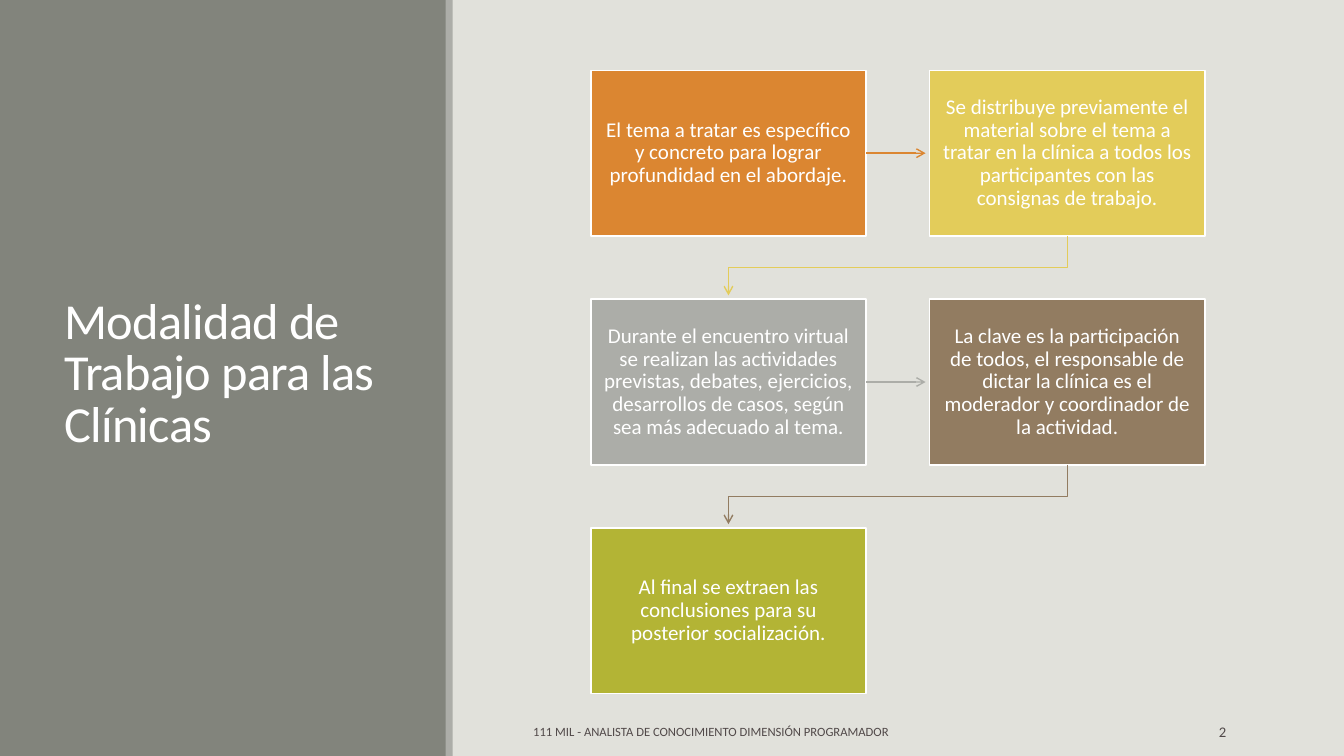
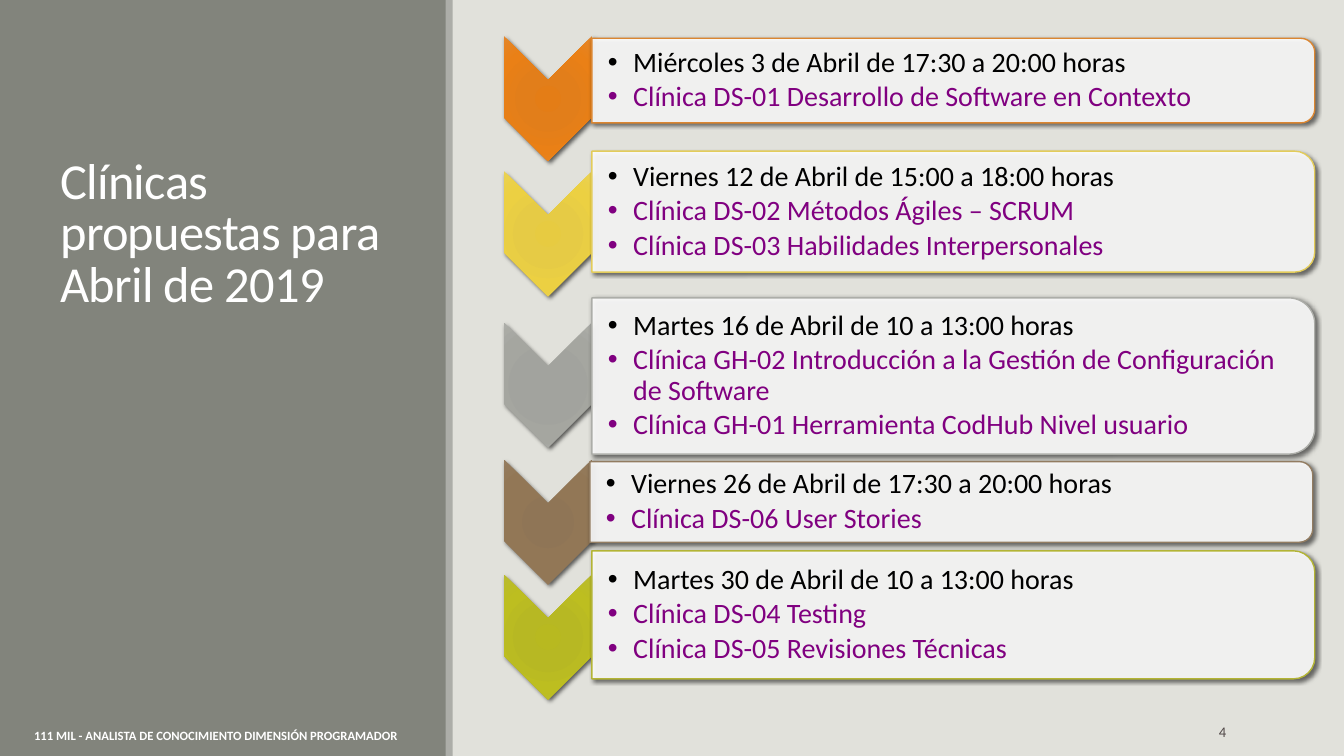
from lxml.etree import SubElement
from pptx import Presentation
from pptx.dml.color import RGBColor
from pptx.enum.shapes import MSO_CONNECTOR, MSO_SHAPE
from pptx.enum.text import MSO_ANCHOR, PP_ALIGN
from pptx.oxml import parse_xml
from pptx.oxml.ns import nsdecls, qn
from pptx.util import Inches, Pt

FONT = "Calibri"
PAPER, SIDE, EDGE = "E1E1DB", "82847C", "ACADA8"
WHITE, BLACK, INK, PURPLE = "FFFFFF", "000000", "514949", "800080"
HUES = ["DB8631", "E3CC5A", "ACADA8", "927C61", "B3B435"]
GLOWS = [
    ["E47D16", "E27E1A", "EA8016", "E48629"],
    ["E7CB41", "E6CB45", "ECD042", "EAD153"],
    ["A1A29C", "A2A39E", "A5A6A0", "ACADA8"],
    ["8F7454", "8F7556", "927756", "947C5F"],
    ["B8B920", "B7B823", "BDBE20", "B9BA2F"],
]
STOPS = [0, 34, 70, 100]
FOOTER = "111 MIL - ANALISTA DE CONOCIMIENTO DIMENSIÓN PROGRAMADOR"

STEPS = [
    "El tema a tratar es específico y concreto para lograr profundidad en el abordaje.",
    "Se distribuye previamente el material sobre el tema a tratar en la clínica "
    "a todos los participantes con las consignas de trabajo.",
    "Durante el encuentro virtual se realizan las actividades previstas, debates, "
    "ejercicios, desarrollos de casos, según sea más adecuado al tema.",
    "La clave es la participación de todos, el responsable de dictar la clínica "
    "es el moderador y coordinador de la actividad.",
    "Al final se extraen las conclusiones para su posterior socialización.",
]
CLINICS = [
    (0.98, 5.87, 0.8, 0.84, ["Miércoles 3 de Abril de 17:30 a 20:00 horas",
                             "Clínica DS-01 Desarrollo de Software en Contexto"]),
    (2.32, 5.87, 2.1, 1.2, ["Viernes 12 de Abril de 15:00 a 18:00 horas",
                            "Clínica DS-02 Métodos Ágiles – SCRUM",
                            "Clínica DS-03 Habilidades Interpersonales"]),
    (3.82, 5.87, 3.73, 1.55, ["Martes 16 de Abril de 10 a 13:00 horas",
                              "Clínica GH-02 Introducción a la Gestión de Configuración de Software",
                              "Clínica GH-01 Herramienta CodHub Nivel usuario"]),
    (5.18, 5.85, 4.98, 0.8, ["Viernes 26 de Abril de 17:30 a 20:00 horas",
                             "Clínica DS-06 User Stories"]),
    (6.32, 5.87, 6.1, 1.27, ["Martes 30 de Abril de 10 a 13:00 horas",
                             "Clínica DS-04 Testing",
                             "Clínica DS-05 Revisiones Técnicas"]),
]


def tint(code):
    return RGBColor.from_string(code)


class Deck:
    """Holds the shared style and the current slide."""

    def __init__(self):
        self.file = Presentation()
        self.file.slide_width, self.file.slide_height = Inches(13.33), Inches(7.5)

    def start(self):
        self.slide = self.file.slides.add_slide(self.file.slide_layouts[6])
        self.shapes = self.slide.shapes
        back = self.slide.background.fill
        back.solid()
        back.fore_color.rgb = tint(PAPER)
        self.shape(MSO_SHAPE.RECTANGLE, 0, 0, 4.43, 7.5, SIDE)
        self.shape(MSO_SHAPE.RECTANGLE, 4.42, 0, 0.07, 7.5, EDGE)

    def shape(self, kind, left, top, width, height, fill, line=None, weight=1):
        item = self.shapes.add_shape(kind, Inches(left), Inches(top), Inches(width), Inches(height))
        item.shadow.inherit = False
        item.fill.solid()
        item.fill.fore_color.rgb = tint(fill)
        if line:
            self.stroke(item, line, weight)
        else:
            item.line.fill.background()
        return item

    def stroke(self, item, color, weight=1):
        item.line.color.rgb = tint(color)
        item.line.width = Pt(weight)

    def style(self, part, size, color, bold=False, align=PP_ALIGN.LEFT, space=None):
        part.alignment = align
        part.line_spacing = space
        for run in part.runs:
            run.font.name, run.font.size, run.font.bold = FONT, Pt(size), bold
            run.font.color.rgb = tint(color)

    def text(self, text, left, top, width, height, size, color, anchor=MSO_ANCHOR.MIDDLE, **looks):
        frame = self.shapes.add_textbox(
            Inches(left), Inches(top), Inches(width), Inches(height)).text_frame
        frame.word_wrap = True
        frame.vertical_anchor = anchor
        frame.text = text
        for part in frame.paragraphs:
            self.style(part, size, color, **looks)
        return frame

    def title(self, text, left, top, width, height, anchor=MSO_ANCHOR.MIDDLE):
        frame = self.text(text, left, top, width, height, 36, WHITE, anchor, space=0.85)
        frame.paragraphs[0].runs[0].font._element.set("spc", "-50")

    def number(self, text):
        self.text(text, 10.83, 7.06, 1.43, 0.4, 10.5, INK, align=PP_ALIGN.RIGHT)

    def box(self, text, left, top, width, height, fill):
        item = self.shape(MSO_SHAPE.RECTANGLE, left, top, width, height, fill, WHITE, 1.25)
        frame = item.text_frame
        frame.word_wrap = True
        frame.vertical_anchor = MSO_ANCHOR.MIDDLE
        frame.margin_left = frame.margin_right = Inches(0.13)
        frame.margin_top = frame.margin_bottom = Inches(0.14)
        frame.text = text
        self.style(frame.paragraphs[0], 15, WHITE, align=PP_ALIGN.CENTER, space=0.9)
        return item

    def tip(self, item, color):
        self.stroke(item, color)
        SubElement(item._element.spPr.get_or_add_ln(), qn("a:tailEnd"), type="arrow")

    def arrow(self, first, last, color):
        y = first.top + first.height // 2
        item = self.shapes.add_connector(
            MSO_CONNECTOR.STRAIGHT, first.left + first.width, y, last.left - Inches(0.04), y)
        item.begin_connect(first, 3)
        self.tip(item, color)
        SubElement(item._element.spPr, qn("a:effectLst"))

    def elbow(self, first, last, color):
        x, y = first.left + first.width // 2, first.top + first.height
        end = last.left + last.width // 2
        turn = (y + last.top) // 2
        pen = self.shapes.build_freeform(x, y)
        pen.add_line_segments(
            [(x, turn), (end, turn), (end, last.top - Inches(0.04))], close=False)
        item = pen.convert_to_shape()
        item.shadow.inherit = False
        item.fill.background()
        self.tip(item, color)

    def turned(self, kind, left, middle, width, height, fill, line=None):
        item = self.shape(kind, left + (width - height) / 2, middle - width / 2,
                          height, width, fill, line)
        item.rotation = 90
        effect = item._element.spPr.find(qn("a:effectLst"))
        effect.append(parse_xml(
            f'<a:outerShdw {nsdecls("a")} blurRad="38100" dist="25400" dir="2700000" '
            'rotWithShape="0"><a:srgbClr val="000000"><a:alpha val="60000"/>'
            '</a:srgbClr></a:outerShdw>'))
        return item

    def chevron(self, middle, glow):
        item = self.turned(MSO_SHAPE.CHEVRON, 5, middle, 0.87, 1.24, glow[0])
        stops = "".join(f'<a:gs pos="{stop * 1000}"><a:srgbClr val="{color}"/></a:gs>'
                        for stop, color in zip(STOPS, glow))
        props = item._element.spPr
        props.replace(props.find(qn("a:solidFill")), parse_xml(
            f'<a:gradFill {nsdecls("a")} rotWithShape="1"><a:gsLst>{stops}</a:gsLst>'
            '<a:path path="circle"><a:fillToRect l="100000" t="100000" r="100000" '
            'b="100000"/></a:path></a:gradFill>'))

    def panel(self, lines, left, middle, height, color):
        item = self.turned(MSO_SHAPE.ROUND_2_SAME_RECTANGLE, left, middle, 7.17, height, WHITE, color)
        paint = item._element.spPr.find(qn("a:solidFill"))
        SubElement(paint[0], qn("a:alpha"), val="90000")
        frame = self.text("\n".join(lines), left, middle - height / 2, 7.1, height,
                          20, PURPLE, space=0.9)
        frame.margin_left = Inches(0.16)
        frame.margin_right = frame.margin_top = frame.margin_bottom = Inches(0.01)
        self.style(frame.paragraphs[0], 20, BLACK, space=0.9)
        for part in frame.paragraphs:
            part.space_after = Pt(3)
            props = part._p.get_or_add_pPr()
            props.set("marL", str(Inches(0.25)))
            props.set("indent", str(-Inches(0.25)))
            SubElement(props, qn("a:buFont"), typeface="Arial")
            SubElement(props, qn("a:buChar"), char="•")


def method(deck):
    deck.start()
    deck.title("Modalidad de Trabajo para las Clínicas", 0.54, 0.57, 3.37, 6.31)
    boxes = [deck.box(text, 5.86 + 3.36 * (i % 2), 0.7 + 2.27 * (i // 2), 2.73, 1.64, hue)
             for i, (text, hue) in enumerate(zip(STEPS, HUES))]
    for i, (first, last) in enumerate(zip(boxes, boxes[1:])):
        join = deck.elbow if i % 2 else deck.arrow
        join(first, last, HUES[i])
    deck.text(FOOTER, 5.19, 7.06, 5.58, 0.4, 9, INK)
    deck.number("2")


def dates(deck):
    deck.start()
    deck.title("Clínicas propuestas para Abril de 2019", 0.5, 0.65, 3.5, 2.5, MSO_ANCHOR.BOTTOM)
    for (point, left, middle, height, lines), hue, glow in zip(CLINICS, HUES, GLOWS):
        deck.chevron(point, glow)
        deck.panel(lines, left, middle, height, hue)
    deck.number("4")
    deck.text(FOOTER, 0.24, 7.1, 5.08, 0.4, 9, WHITE, bold=True)


def main():
    deck = Deck()
    method(deck)
    dates(deck)
    deck.file.save("out.pptx")


if __name__ == "__main__":
    main()
